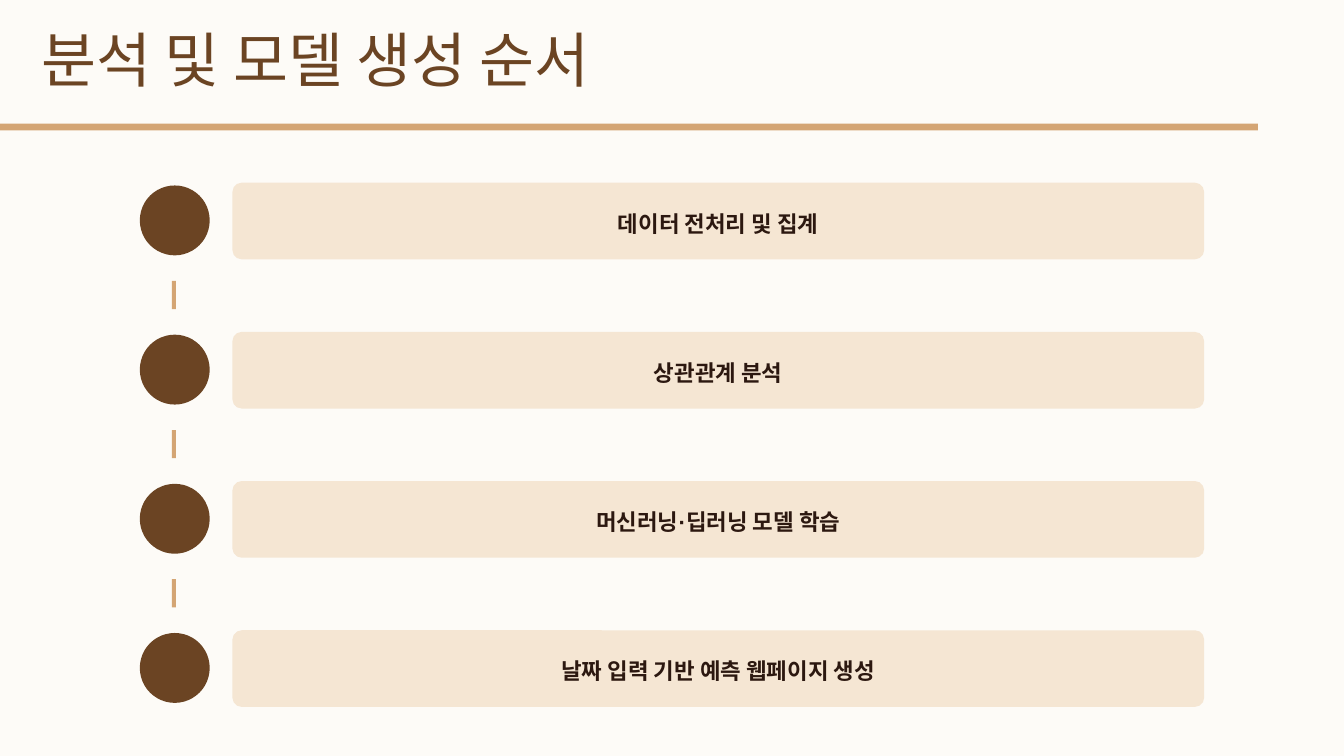
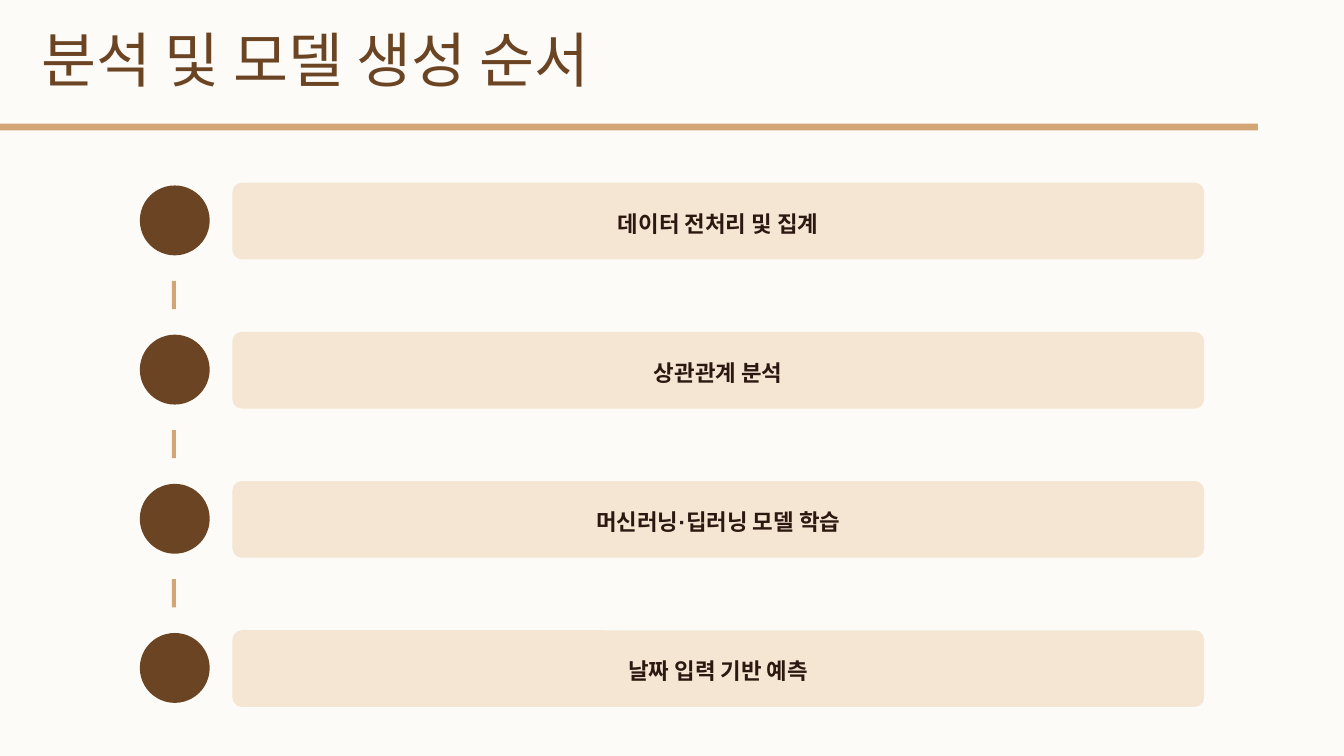
from dataclasses import dataclass

from pptx import Presentation
from pptx.dml.color import RGBColor
from pptx.enum.shapes import MSO_SHAPE as Preset
from pptx.enum.text import MSO_ANCHOR as Anchor, MSO_AUTO_SIZE as AutoSize, PP_ALIGN as Align
from pptx.util import Inches, Pt


@dataclass(frozen=True)
class Theme:
    """Colours, fonts and type sizes shared by all slides."""

    paper: str = "FDFBF7"
    brown: str = "6B4423"
    tan: str = "D4A574"
    cream: str = "F5E6D3"
    ink: str = "2C1810"
    title_font: str = "Lato"
    body_font: str = "Arial"
    title_size: float = 32
    body_size: float = 12


THEME = Theme()
TITLE = "분석 및 모델 생성 순서"
SHARED_STEPS = ["데이터 전처리 및 집계", "상관관계 분석", "머신러닝·딥러닝 모델 학습"]
LAST_STEPS = ["날짜 입력 기반 예측 웹페이지 생성", "날짜 입력 기반 예측"]
FIRST_TOP = 1.36
STEP_PITCH = 1.11


def write_text(box, text, *, font, size, color, bold=False, align=Align.LEFT,
               anchor=Anchor.TOP, line=None, after=0):
    """Write one formatted paragraph into a shape without insets."""
    frame = box.text_frame
    frame.word_wrap = True
    frame.auto_size = AutoSize.NONE
    frame.vertical_anchor = anchor
    frame.margin_left = frame.margin_right = frame.margin_top = frame.margin_bottom = 0
    para = frame.paragraphs[0]
    para.alignment = align
    para.space_before, para.space_after = Pt(0), Pt(after)
    if line:
        para.line_spacing = Pt(line)
    span = para.add_run()
    span.text = text
    span.font.name, span.font.size, span.font.bold = font, Pt(size), bold
    span.font.color.rgb = RGBColor.from_string(color)


def add_block(page, preset, left, top, width, height, color):
    """Add a filled preset shape without outline or shadow."""
    block = page.shapes.add_shape(
        preset, Inches(left), Inches(top), Inches(width), Inches(height))
    block.shadow.inherit = False
    block.fill.solid()
    block.fill.fore_color.rgb = RGBColor.from_string(color)
    block.line.fill.background()
    return block


def prepare_layout(deck):
    """Set the common background and title place, and return the layout."""
    fill = deck.slide_master.background.fill
    fill.solid()
    fill.fore_color.rgb = RGBColor.from_string(THEME.paper)
    layout = deck.slide_layouts.get_by_name("Title Only")
    title, *footers = layout.placeholders
    for footer in footers:
        layout.shapes.element.remove(footer.element)
    title.left, title.top = Inches(0.31), Inches(0.33)
    title.width, title.height = Inches(4.79), Inches(0.38)
    return layout


def add_title_band(layout, page):
    """Draw the band under the title and place it on the layout."""
    band = add_block(page, Preset.RECTANGLE, 0, 0.92, 9.36, 0.05, THEME.tan)
    layout.shapes.element.append(band.element)


def add_step(page, top, text):
    """Add a round marker and its labelled card."""
    add_block(page, Preset.OVAL, 1.04, top + 0.02, 0.52, 0.52, THEME.brown)
    card = add_block(page, Preset.ROUNDED_RECTANGLE, 1.73, top, 7.23, 0.57, THEME.cream)
    card.adjustments[0] = 0.12
    write_text(card, text, font=THEME.body_font, size=THEME.body_size, color=THEME.ink,
               bold=True, align=Align.CENTER, anchor=Anchor.MIDDLE, line=16.8)


def add_process_page(deck, layout, steps):
    """Add a slide with a vertical sequence of steps."""
    page = deck.slides.add_slide(layout)
    write_text(page.shapes.title, TITLE, font=THEME.title_font, size=THEME.title_size,
               color=THEME.brown, line=27, after=6)
    for index, text in enumerate(steps):
        top = FIRST_TOP + index * STEP_PITCH
        if index:
            add_block(page, Preset.RECTANGLE, 1.28, top - 0.38, 0.03, 0.21, THEME.tan)
        add_step(page, top, text)
    return page


def main():
    """Build and save the deck."""
    deck = Presentation()
    deck.slide_width, deck.slide_height = Inches(10), Inches(5.625)
    layout = prepare_layout(deck)
    pages = [add_process_page(deck, layout, SHARED_STEPS + [last]) for last in LAST_STEPS]
    add_title_band(layout, pages[0])
    deck.save("out.pptx")


if __name__ == "__main__":
    main()
